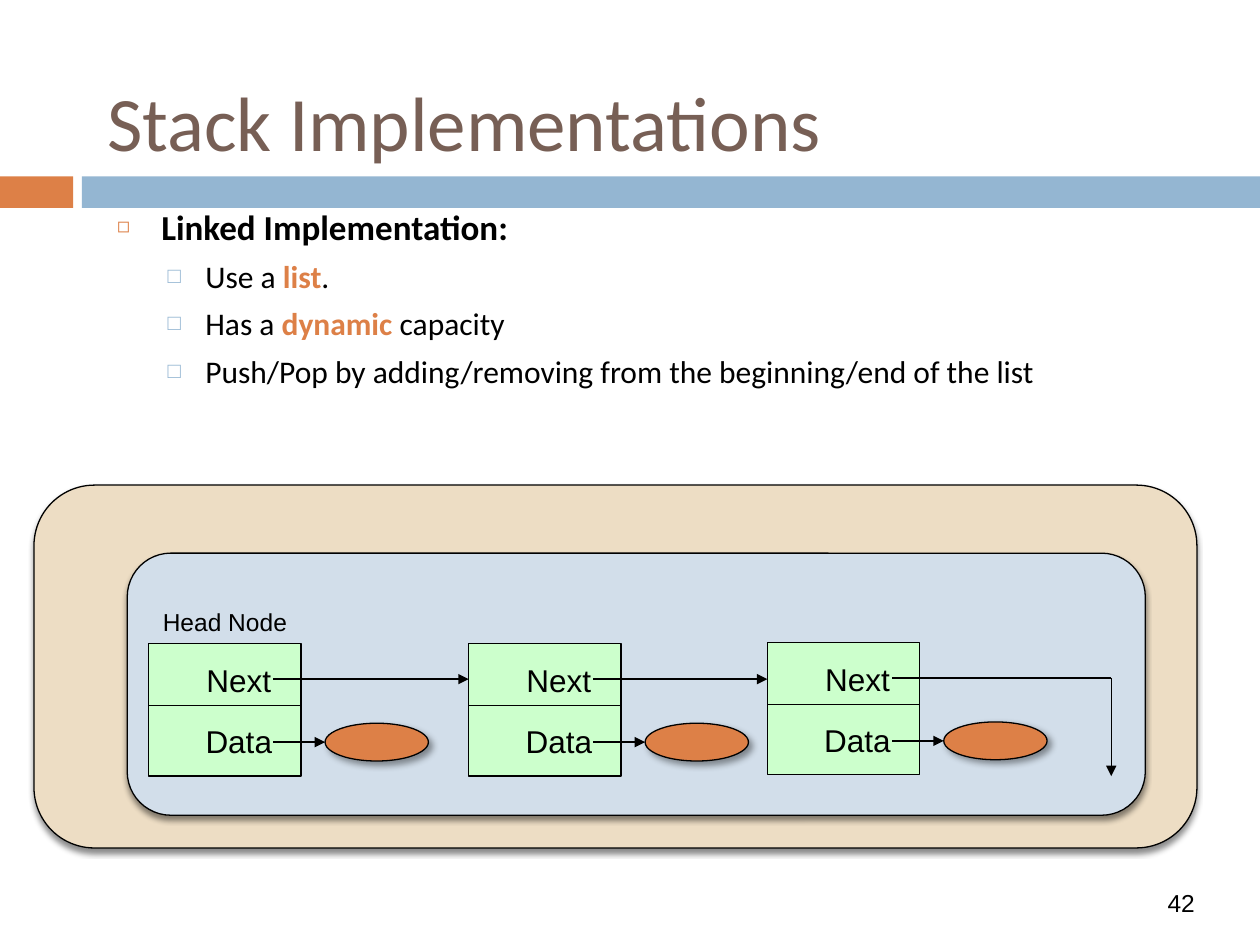
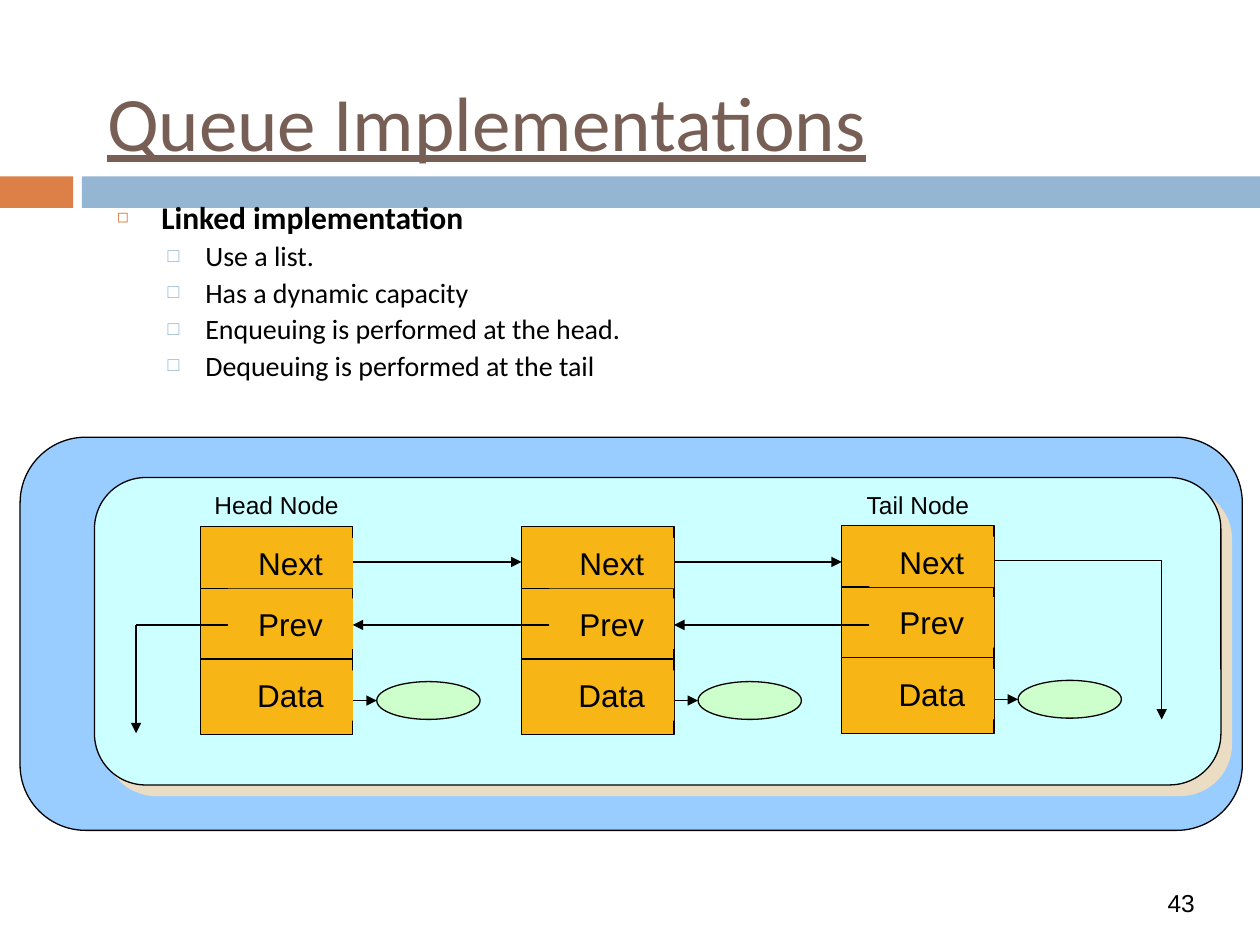
from lxml.etree import SubElement as Sub
from pptx import Presentation
from pptx.dml.color import RGBColor
from pptx.enum.shapes import MSO_CONNECTOR as Link, MSO_SHAPE as Kind
from pptx.enum.text import MSO_ANCHOR as Anchor, MSO_AUTO_SIZE as Auto, PP_ALIGN as Align
from pptx.oxml.ns import qn
from pptx.util import Inches, Pt

INK, BROWN, ORANGE, BLUE = "000000", "775F55", "DD8047", "94B6D2"
MINT, GOLD = "CCFFCC", "F7B615"
CELL_W = 1.21
LABEL_X = 0.22

# Shadows: colour, opacity %, blur pt, distance pt, angle
SOFT = (INK, 45, 3, 2.4, 90)
DROP = (INK, 40, 4, 3, 45)
HARD = ("EBDDC3", 100, 0, 8.5, 45)

TITLE = {"size": Pt(44), "name": "Calibri"}
LABEL = {"size": Pt(18), "name": "Arial"}
SMALL = {"size": Pt(14), "name": "Arial"}

# Bullet levels: left margin, hanging indent, space before, sign, colour, size %
LEVELS = [(0.35, -0.35, 7, "◻", ORANGE, 60),
          (0.7, -0.3, 5.5, "□", BLUE, 70)]

STACK = {"fill": MINT, "oval": ORANGE, "shade": DROP, "height": 1.05,
         "rows": {"Next": 0.09, "Data": 0.57}, "splits": [0.49],
         "plate": False, "start": 0.99}
QUEUE = {"fill": GOLD, "oval": MINT, "shade": None, "height": 1.65,
         "rows": {"Next": 0.09, "Prev": 0.57, "Data": 1.14}, "splits": [0.49, 1.05],
         "plate": True, "start": 0.99}


def color(code):
    return RGBColor.from_string(code)


def style(font, code, values):
    font.color.rgb = color(code)
    for name, value in values.items():
        setattr(font, name, value)


def cast(shape, shade):
    """Give the shape an outer shadow."""
    code, alpha, blur, dist, angle = shade
    effects = shape.element.spPr.find(qn("a:effectLst"))
    outer = Sub(effects, qn("a:outerShdw"), blurRad=str(Pt(blur)), dist=str(Pt(dist)),
                dir=str(angle * 60000), algn="ctr", rotWithShape="0")
    tint = Sub(outer, qn("a:srgbClr"), val=code)
    Sub(tint, qn("a:alpha"), val=str(alpha * 1000))


def block(slide, kind, box, fill, edge=True, shade=None):
    shape = slide.shapes.add_shape(kind, *map(Inches, box))
    shape.shadow.inherit = False
    shape.fill.solid()
    shape.fill.fore_color.rgb = color(fill)
    if edge:
        shape.line.color.rgb = color(INK)
        shape.line.width = Pt(0.75)
    else:
        shape.line.fill.background()
    if shade:
        cast(shape, shade)
    return shape


def line(slide, x1, y1, x2, y2, arrow=False):
    link = slide.shapes.add_connector(Link.STRAIGHT, *map(Inches, (x1, y1, x2, y2)))
    link.line.color.rgb = color(INK)
    link.line.width = Pt(0.75)
    props = link.element.spPr
    if arrow:
        Sub(props.find(qn("a:ln")), qn("a:tailEnd"), type="triangle")
    Sub(props, qn("a:effectLst"))


def label(slide, text, box, look, fill=None):
    if fill:
        shape = block(slide, Kind.RECTANGLE, box, fill, edge=False)
    else:
        shape = slide.shapes.add_textbox(*map(Inches, box))
    frame = shape.text_frame
    frame.word_wrap = True
    frame.vertical_anchor = Anchor.TOP
    para = frame.paragraphs[0]
    para.alignment = Align.CENTER
    run = para.add_run()
    run.text = text
    style(run.font, INK, look)


def place(shape, box):
    shape.left, shape.top, shape.width, shape.height = map(Inches, box)
    shape.text_frame.auto_size = Auto.NONE


def base(deck, text, number, under=False):
    """Add a slide with its title, bands and number."""
    slide = deck.slides.add_slide(deck.slide_layouts[1])
    title = slide.shapes.title
    place(title, (0.75, 0.33, 8.5, 1.25))
    title.text_frame.vertical_anchor = Anchor.MIDDLE
    para = title.text_frame.paragraphs[0]
    para.alignment = Align.LEFT
    run = para.add_run()
    run.text = text
    style(run.font, BROWN, TITLE | {"underline": under})
    for left, width, fill in ((0, 0.58, ORANGE), (0.65, 9.35, BLUE)):
        band = block(slide, Kind.RECTANGLE, (left, 1.4, width, 0.25), fill, edge=False)
        title.element.addprevious(band.element)
    label(slide, number, (9, 7, 0.75, 0.33), SMALL)
    return slide


def bullet(para, level):
    left, hang, _, sign, code, size = LEVELS[level]
    props = para._p.get_or_add_pPr()
    props.set("marL", str(Inches(left)))
    props.set("indent", str(Inches(hang)))
    Sub(Sub(props, qn("a:buClr")), qn("a:srgbClr"), val=code)
    Sub(props, qn("a:buSzPct"), val=str(size * 1000))
    Sub(props, qn("a:buChar"), char=sign)


def points(slide, height, head, items, sizes, spacing):
    """Fill the body list; words between stars are accented."""
    body = slide.placeholders[1]
    place(body, (0.83, 1.58, 8.67, height))
    frame = body.text_frame
    for row, text in enumerate([head, *items]):
        level = min(row, 1)
        para = frame.add_paragraph() if row else frame.paragraphs[0]
        bullet(para, level)
        para.level = level
        para.line_spacing = spacing
        para.space_before = Pt(LEVELS[level][2] if row else 0)
        for part, words in enumerate(text.split("*")):
            accent = part % 2 == 1
            run = para.add_run()
            run.text = words
            style(run.font, ORANGE if accent else INK,
                  {"size": Pt(sizes[level]), "name": "Calibri",
                   "bold": accent or not row})


def node(slide, x, y, look, reach, arrow=True):
    """Draw one list node, its data oval and its next link up to reach."""
    block(slide, Kind.RECTANGLE, (x, y, CELL_W, look["height"]), look["fill"])
    oval = y + look["height"] - 0.42
    block(slide, Kind.OVAL, (x + 1.4, oval, 0.82, 0.3), look["oval"], shade=look["shade"])
    start = x + look["start"]
    line(slide, start, oval + 0.15, x + 1.4, oval + 0.15, True)
    line(slide, start, y + 0.28, reach, y + 0.28, arrow)
    for split in look["splits"]:
        line(slide, x, y + split, x + CELL_W, y + split)
    for text, drop in look["rows"].items():
        label(slide, text, (x + LABEL_X, y + drop, 0.99, 0.4), LABEL,
              look["fill"] if look["plate"] else None)


def chain(slide, spots, look, end, foot):
    """Draw linked nodes; the last link bends down at end to foot."""
    stops = [x for x, _ in spots[1:]] + [end]
    for (x, y), reach in zip(spots, stops):
        node(slide, x, y, look, reach, reach != end)
    line(slide, end, spots[-1][1] + 0.28, end, foot, True)


def stack(deck):
    slide = base(deck, "Stack Implementations", "42")
    points(slide, 3.18, "Linked Implementation:",
           ["Use a *list*.", "Has a *dynamic* capacity",
            "Push/Pop by adding/removing from the beginning/end of the list"],
           (20, 18), 1.0)
    block(slide, Kind.ROUNDED_RECTANGLE, (0.27, 3.85, 9.23, 2.88), "EDDDC4", shade=SOFT)
    block(slide, Kind.ROUNDED_RECTANGLE, (1.01, 4.39, 8.08, 2.08), "D2DEEA", shade=SOFT)
    chain(slide, [(1.18, 5.11), (3.72, 5.11), (6.09, 5.1)], STACK, 8.82, 6.16)
    label(slide, "Head Node", (1.18, 4.77, CELL_W, 0.33), SMALL)


def queue(deck):
    slide = base(deck, "Queue Implementations", "43", under=True)
    points(slide, 1.61, "Linked implementation",
           ["Use a list.", "Has a dynamic capacity",
            "Enqueuing is performed at the head.", "Dequeuing is performed at the tail"],
           (18, 16), 0.8)
    block(slide, Kind.ROUNDED_RECTANGLE, (0.16, 3.47, 9.7, 3.12), "99CCFF")
    block(slide, Kind.ROUNDED_RECTANGLE, (0.75, 3.79, 8.94, 2.44), "CCFFFF", shade=HARD)
    lefts = [1.59, 4.14, 6.68]
    chain(slide, list(zip(lefts, (4.18, 4.18, 4.17))), QUEUE, 9.22, 5.71)
    for before, x in zip(lefts, lefts[1:]):
        line(slide, x + LABEL_X, 4.96, before + CELL_W, 4.96, True)
    line(slide, lefts[0] + LABEL_X, 4.96, 1.08, 4.96)
    line(slide, 1.08, 4.96, 1.08, 5.82, True)
    for text, x in (("Head Node", lefts[0]), ("Tail Node", lefts[-1])):
        label(slide, text, (x, 3.84, CELL_W, 0.33), SMALL)


def main():
    deck = Presentation()
    deck.slide_width, deck.slide_height = Inches(10), Inches(7.5)
    stack(deck)
    queue(deck)
    deck.save("out.pptx")


if __name__ == "__main__":
    main()
